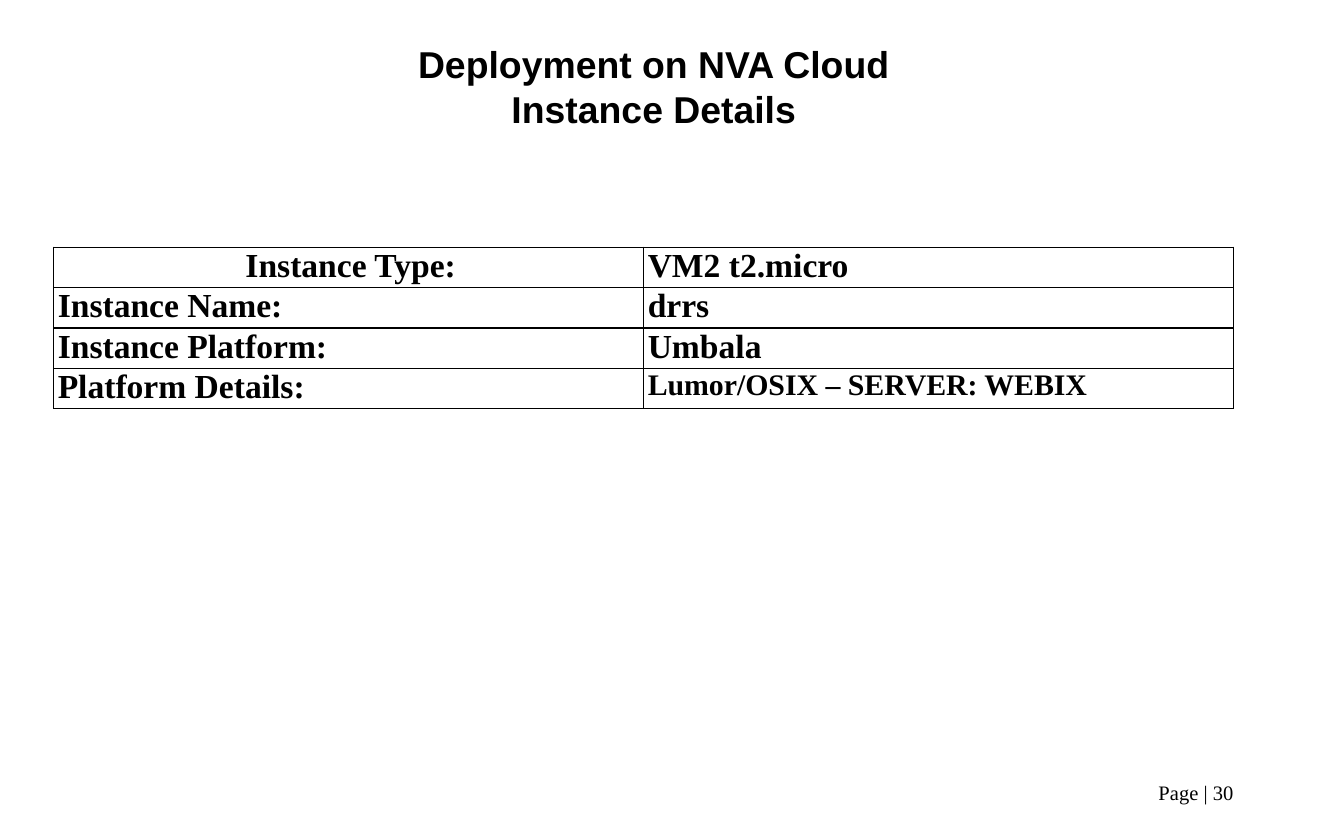
import dataclasses

import lxml.etree
import pptx
import pptx.dml.color
import pptx.enum.text
import pptx.oxml.ns
import pptx.util

Inches = pptx.util.Inches
Pt = pptx.util.Pt
Align = pptx.enum.text.PP_ALIGN

BLACK = pptx.dml.color.RGBColor(0x00, 0x00, 0x00)
SERIF = "Times New Roman"
SANS = "Arial"

LEFT, TOP, WIDE, HIGH = 0.4, 1.84, 4.39, 0.3


@dataclasses.dataclass
class Row:
    label: str
    value: str
    align: Align = Align.LEFT
    size: float = 18


ROWS = [
    Row("Instance Type:", "VM2 t2.micro", align=Align.CENTER),
    Row("Instance Name:", "drrs"),
    Row("Instance Platform:", "Umbala"),
    Row("Platform Details:", "Lumor/OSIX – SERVER: WEBIX", size=16),
]


def write(frame, text: str, *, size: float = 18, font: str = SERIF,
          bold: bool = True, align=Align.LEFT, indent: float = 0) -> None:
    """Fill a text frame, one paragraph for each line of text."""
    frame.text = text
    for para in frame.paragraphs:
        para.alignment = align
        if indent:
            props = para._p.get_or_add_pPr()
            props.set("marL", str(Inches(indent)))
            props.set("indent", "0")
        style = para.runs[0].font
        style.name, style.size, style.bold = font, Pt(size), bold
        style.color.rgb = BLACK


def border(cell) -> None:
    props = cell._tc.get_or_add_tcPr()
    qn = pptx.oxml.ns.qn
    for pos, side in enumerate(("lnL", "lnR", "lnT", "lnB")):
        line = lxml.etree.Element(qn(f"a:{side}"), w=str(Pt(0.75)))
        fill = lxml.etree.SubElement(line, qn("a:solidFill"))
        lxml.etree.SubElement(fill, qn("a:srgbClr"), val=str(BLACK))
        props.insert(pos, line)


def add_box(slide, left: float, top: float, width: float, height: float):
    box = slide.shapes.add_textbox(
        Inches(left), Inches(top), Inches(width), Inches(height))
    box.text_frame.word_wrap = True
    return box.text_frame


def clear(item) -> None:
    """Set all four margins to zero."""
    item.margin_left = item.margin_right = 0
    item.margin_top = item.margin_bottom = 0


def add_grid(slide, rows: list[Row]) -> None:
    table = slide.shapes.add_table(
        len(rows), 2, Inches(LEFT), Inches(TOP),
        Inches(2 * WIDE), Inches(HIGH * len(rows))).table
    table.first_row = table.horz_banding = False
    for line, row in zip(table.rows, rows):
        label, value = line.cells
        write(label.text_frame, row.label, align=row.align, indent=0.03)
        write(value.text_frame, row.value, size=row.size, indent=0.03)
        for cell in (label, value):
            clear(cell)
            cell.fill.background()
            border(cell)


def main() -> None:
    deck = pptx.Presentation()
    deck.slide_width, deck.slide_height = Inches(10), Inches(6.25)
    slide = deck.slides.add_slide(deck.slide_layouts[6])

    page = add_box(slide, 8.61, 5.8, 0.71, 0.19)
    clear(page)
    write(page, "Page | 30", size=11, bold=False, indent=0.01)

    add_grid(slide, ROWS)

    title = add_box(slide, 0.17, 0.26, 9.39, 0.77)
    write(title, "Deployment on NVA Cloud\nInstance Details",
          size=20, font=SANS, align=Align.CENTER)

    deck.save("out.pptx")


if __name__ == "__main__":
    main()
